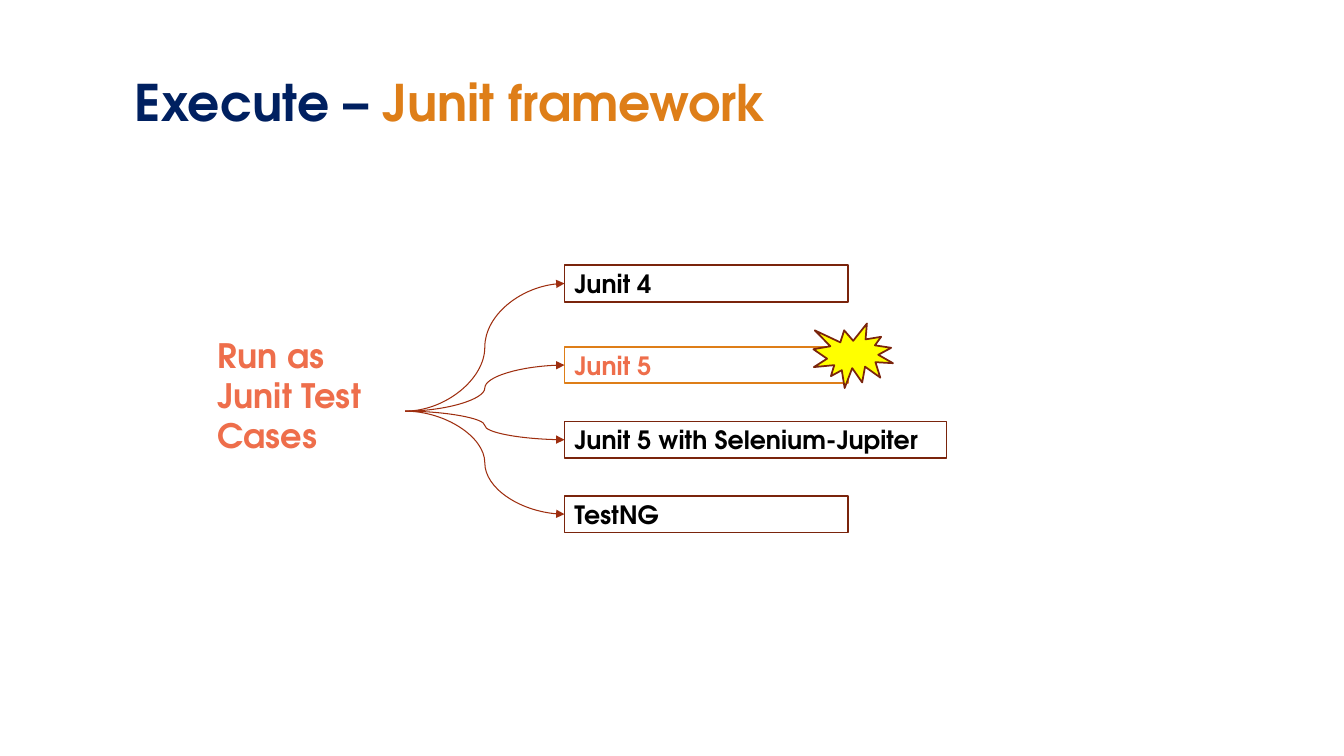
from lxml import etree
from pptx import Presentation
from pptx.dml.color import RGBColor
from pptx.enum import shapes, text
from pptx.oxml import parse_xml
from pptx.oxml.ns import nsdecls, qn
from pptx.util import Pt

NAVY, ORANGE, CORAL = "002060", "DE7E18", "EE6E4B"
BROWN, RUST, BLACK = "7A240C", "9E2E0F", "000000"
WHITE, YELLOW = "FFFFFF", "FFFF00"


def color(value):
    return RGBColor.from_string(value)


class Deck:
    font = "TeX Gyre Adventor"

    def __init__(self, width, height):
        self.prs = Presentation()
        self.prs.slide_width, self.prs.slide_height = Pt(width), Pt(height)
        self.slide = self.prs.slides.add_slide(self.prs.slide_layouts[6])

    def put(self, para, words, size, tint):
        """Add one run of text to a paragraph."""
        run = para.add_run()
        run.text = words
        run.font.name, run.font.size, run.font.bold = self.font, Pt(size), True
        run.font.color.rgb = color(tint)
        return run

    def label(self, place, lines, size, shaded=False):
        """Add a text box; each line is a list of (words, tint) runs."""
        box = self.slide.shapes.add_textbox(*map(Pt, place))
        frame = box.text_frame
        frame.word_wrap = True
        for i, line in enumerate(lines):
            para = frame.add_paragraph() if i else frame.paragraphs[0]
            for words, tint in line:
                run = self.put(para, words, size, tint)
                if shaded:
                    self.shade(run)
        return box

    def shade(self, run):
        """Give the letters of a run a soft shadow below."""
        fill = run.font._element.find(qn("a:solidFill"))
        fill.addnext(parse_xml(
            f'<a:effectLst {nsdecls("a")}>'
            '<a:outerShdw blurRad="38100" dist="38100" dir="5400000">'
            '<a:srgbClr val="000000"><a:alpha val="43000"/></a:srgbClr>'
            '</a:outerShdw></a:effectLst>'))

    def shape(self, kind, place, fill, line):
        item = self.slide.shapes.add_shape(kind, *map(Pt, place))
        item.shadow.inherit = False
        item.fill.solid()
        item.fill.fore_color.rgb = color(fill)
        item.line.color.rgb = color(line)
        item.line.width = Pt(1.25)
        return item

    def box(self, place, words, tint, line):
        item = self.shape(shapes.MSO_SHAPE.RECTANGLE, place, WHITE, line)
        frame = item.text_frame
        frame.word_wrap = True
        frame.vertical_anchor = text.MSO_ANCHOR.MIDDLE
        para = frame.paragraphs[0]
        para.alignment = text.PP_ALIGN.LEFT
        self.put(para, words, 18, tint)
        return item

    def arrow(self, start, end):
        """Curve from the right side of start to the left side of end."""
        line = self.slide.shapes.add_connector(
            shapes.MSO_CONNECTOR.CURVE, 0, 0, 0, 0)
        line.begin_connect(start, 3)
        line.end_connect(end, 1)
        line.line.color.rgb = color(RUST)
        line.line.width = Pt(0.75)
        props = line._element.spPr
        etree.SubElement(props.find(qn("a:ln")), qn("a:tailEnd"),
                         type="triangle")
        etree.SubElement(props, qn("a:effectLst"))


def main():
    deck = Deck(960, 540)
    deck.label((89.3, 47.5, 550.8, 54.7),
               [[("Execute – ", NAVY), ("Junit framework", ORANGE)]],
               36, shaded=True)
    source = deck.label((148.3, 235.4, 141.1, 116.6),
                        [[("Run as", CORAL)], [("Junit Test Cases", CORAL)]],
                        24)
    runners = [
        (189.4, 202.3, "Junit 4", BLACK, BROWN),
        (247.7, 202.3, "Junit 5", CORAL, ORANGE),
        (301, 272.9, "Junit 5 with Selenium-Jupiter", BLACK, BROWN),
        (354.2, 202.3, "TestNG", BLACK, BROWN),
    ]
    for top, width, words, tint, line in runners:
        runner = deck.box((403.2, top, width, 26.2), words, tint, line)
        deck.arrow(source, runner)
    deck.shape(shapes.MSO_SHAPE.EXPLOSION1, (581, 231.1, 56.9, 46.1),
               YELLOW, BROWN)
    deck.prs.save("out.pptx")


if __name__ == "__main__":
    main()
